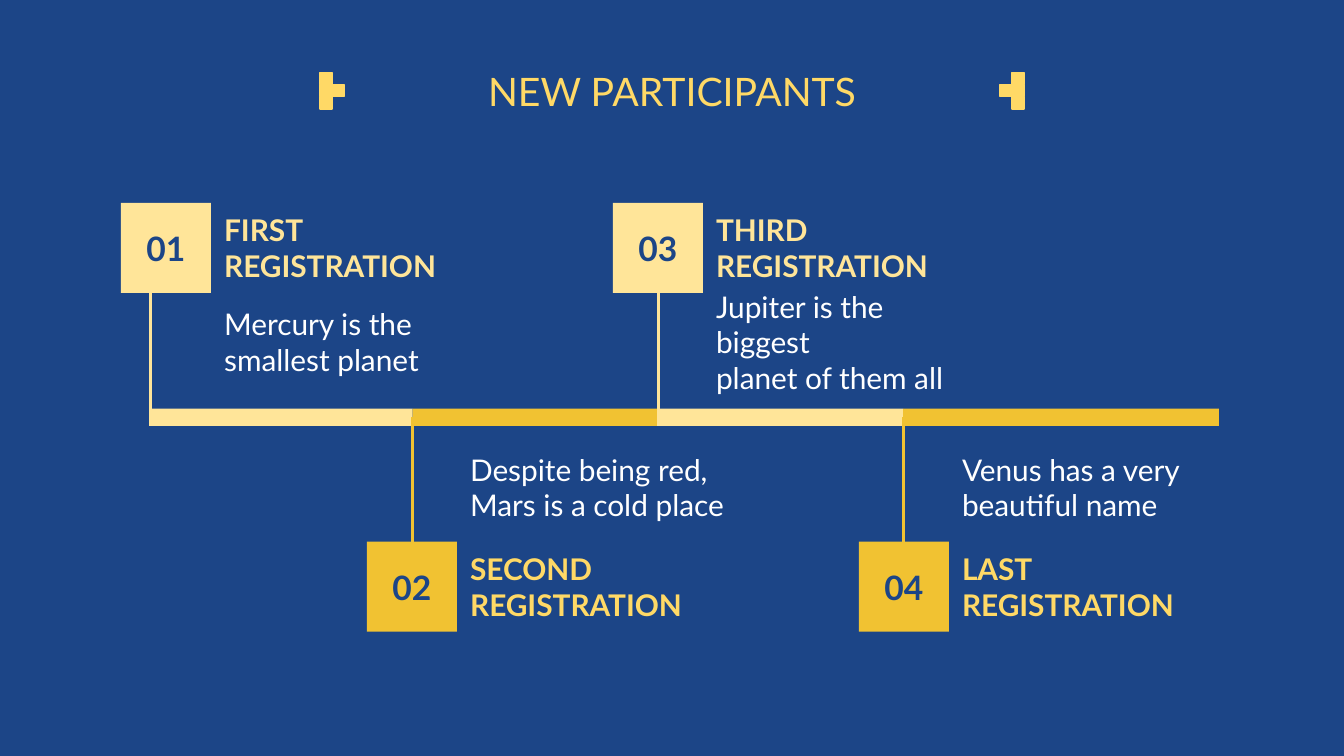
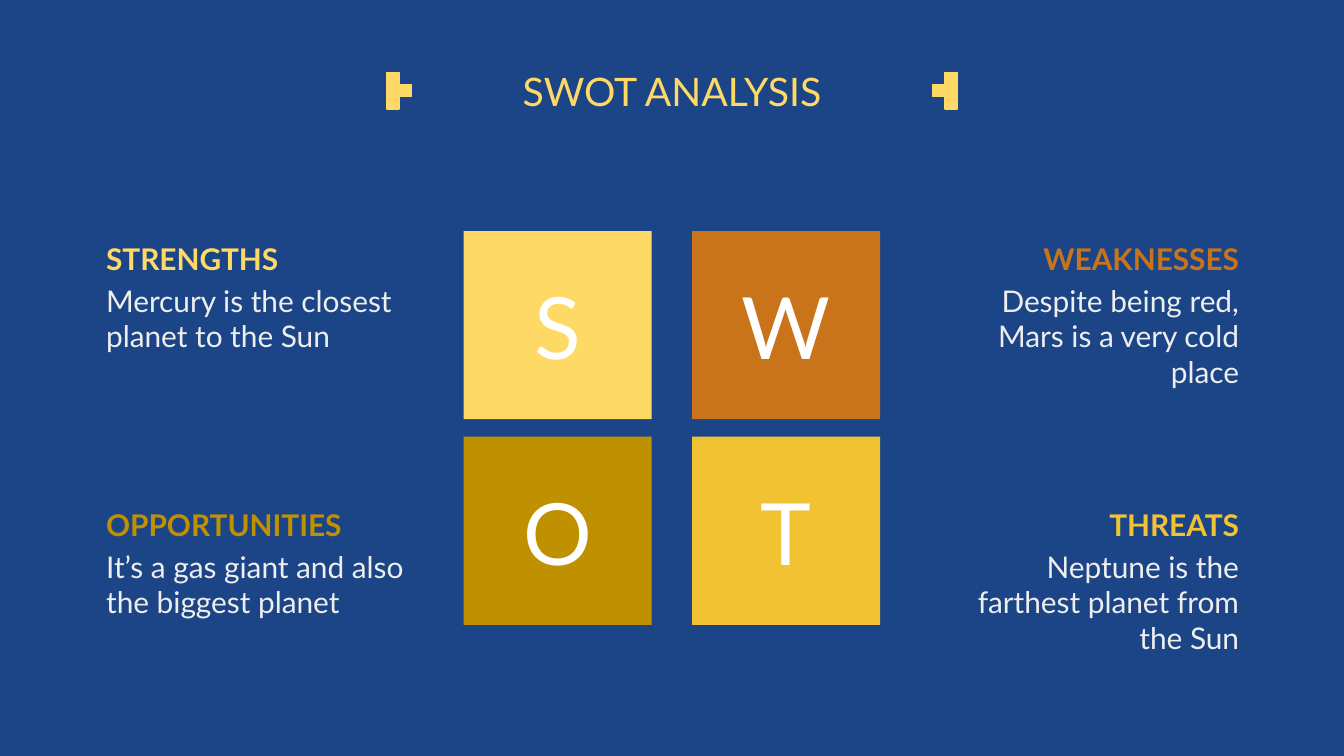
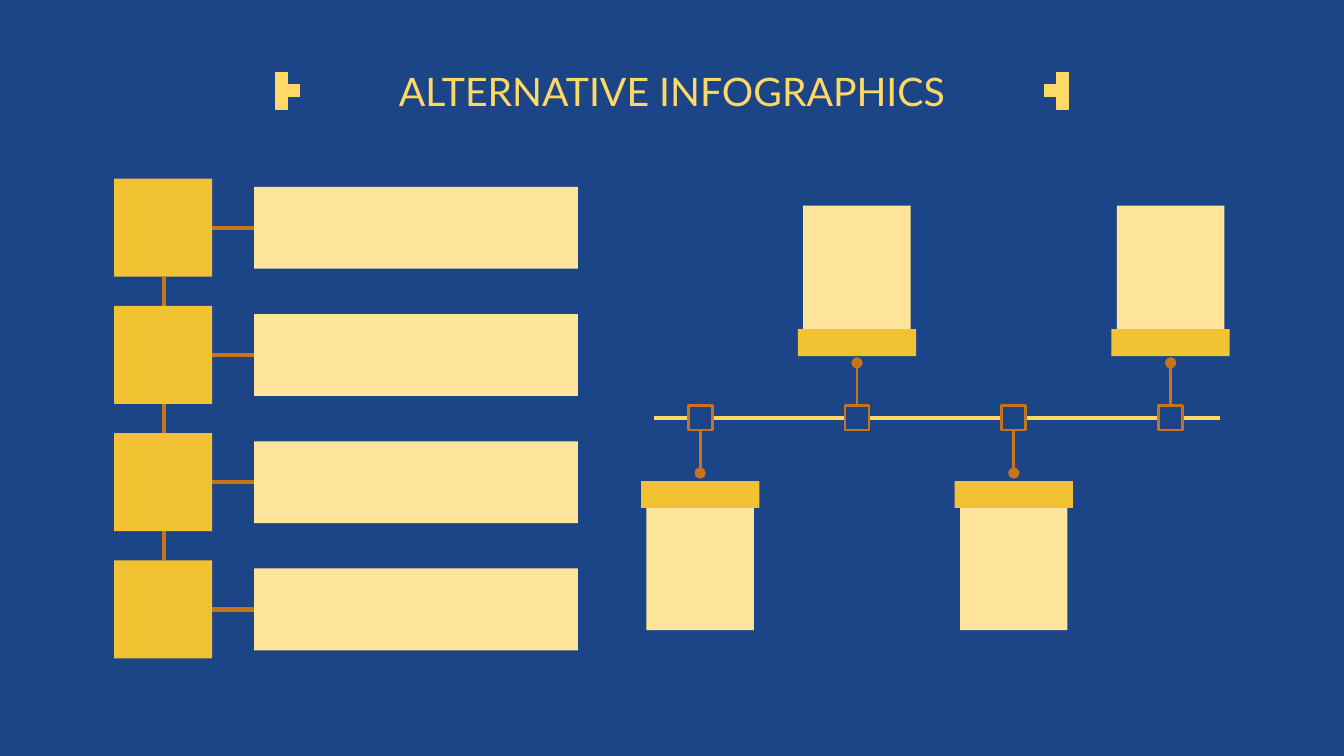
from lxml import etree
from pptx import Presentation
from pptx import util as u
from pptx.dml.color import RGBColor
from pptx.enum import shapes, text
from pptx.oxml.ns import qn

HEX = {
    "blue": "1C4587", "cream": "FFE599", "lemon": "FFD966", "gold": "F1C232",
    "olive": "BF9000", "rust": "C9741B", "white": "FFFFFF", "pale": "EEEEEE",
}
ALIGN = {
    "left": text.PP_ALIGN.LEFT,
    "mid": text.PP_ALIGN.CENTER,
    "right": text.PP_ALIGN.RIGHT,
}
ANCHOR = {
    "top": text.MSO_ANCHOR.TOP,
    "mid": text.MSO_ANCHOR.MIDDLE,
    "base": text.MSO_ANCHOR.BOTTOM,
}
WIDTH = 10


def tint(name):
    return RGBColor.from_string(HEX[name])


def put(target, values):
    for key, value in values.items():
        setattr(target, key, value)


class Deck:
    font = "Lato"

    def __init__(self):
        self.prs = Presentation()
        wide = u.Inches(WIDTH)
        put(self.prs, {"slide_width": wide, "slide_height": wide * 9 // 16})
        self.slide = None

    def page(self, title, edge):
        """Start a slide whose title stands between two marks, edge in from each side."""
        self.slide = self.prs.slides.add_slide(self.prs.slide_layouts[6])
        fill = self.slide.background.fill
        fill.solid()
        fill.fore_color.rgb = tint("blue")
        self.label((0.34, 0.32, 9.32, 0.63), title, 21, "lemon", align="mid", anchor="base")
        self.marks(edge)

    def marks(self, edge):
        """Draw a T of four small squares on each side, the right one mirrored."""
        side = 0.09
        for col, row in ((0, 0), (0, 1), (0, 2), (1, 1)):
            left, top = edge + col * side, 0.54 + row * side
            for x in (left, WIDTH - left - side):
                self.box((x, top, side, side), "lemon", "lemon", 0.75)

    def box(self, area, fill, line=None, weight=1.5):
        shape = self.slide.shapes.add_shape(shapes.MSO_SHAPE.RECTANGLE, *map(u.Inches, area))
        shape.shadow.inherit = False
        shape.fill.solid()
        shape.fill.fore_color.rgb = tint(fill)
        if line:
            shape.line.color.rgb = tint(line)
            shape.line.width = u.Pt(weight)
        else:
            shape.line.fill.background()
        return shape

    def tile(self, area, fill, words, size, color, bold=False):
        self.letter(self.box(area, fill), words, size, color, bold, "mid", "mid")

    def label(self, area, words, size, color, **style):
        shape = self.slide.shapes.add_textbox(*map(u.Inches, area))
        self.letter(shape, words, size, color, **style)

    def letter(self, shape, words, size, color, bold=False, align="left",
               anchor="top", side=0.1, after=0):
        """Set the words of a shape and their style."""
        frame = shape.text_frame
        pad, side = u.Inches(0.1), u.Inches(side)
        put(frame, {
            "word_wrap": True, "vertical_anchor": ANCHOR[anchor],
            "margin_left": side, "margin_right": side,
            "margin_top": pad, "margin_bottom": pad,
        })
        frame.text = words
        for par in frame.paragraphs:
            put(par, {"alignment": ALIGN[align], "space_after": u.Pt(after)})
            for run in par.runs:
                put(run.font, {"name": self.font, "size": u.Pt(size), "bold": bold})
                run.font.color.rgb = tint(color)

    def line(self, start, end, color, weight=1.5, tail=None):
        link = self.slide.shapes.add_connector(
            shapes.MSO_CONNECTOR.STRAIGHT, *map(u.Inches, (*start, *end)))
        link.line.color.rgb = tint(color)
        link.line.width = u.Pt(weight)
        props = link._element.spPr
        if tail:
            etree.SubElement(props.find(qn("a:ln")), qn("a:tailEnd"), type=tail)
        etree.SubElement(props, qn("a:effectLst"))


def joiners(deck):
    deck.page("NEW PARTICIPANTS", 2.38)
    stops = (1.12, 3.07, 4.9, 6.72, 9.07)
    steps = (
        ("FIRST", "Mercury is the smallest planet"),
        ("SECOND", "Despite being red,\nMars is a cold place"),
        ("THIRD", "Jupiter is the biggest\nplanet of them all"),
        ("LAST", "Venus has a very beautiful name"),
    )
    side = 0.67
    for i, (rank, note) in enumerate(steps):
        stop, left = stops[i], 0.9 + 1.83 * i
        if i % 2 == 0:
            fill, head, top, near, far, body = "cream", "cream", 1.51, 2.18, 3.17, 2.31
        else:
            fill, head, top, near, far, body = "gold", "lemon", 4.03, 4.06, 3.1, 3.39
        deck.box((stop, 3.04, stops[i + 1] - stop, 0.13), fill)
        deck.line((stop, near), (stop, far), fill)
        deck.tile((left, top, side, side), fill, f"{i + 1:02}", 18, "blue", bold=True)
        deck.label((left + side, top, 2.2, side), f"{rank} REGISTRATION", 16, head,
                   bold=True, anchor="mid")
        deck.label((left + side, body, 2.16, 0.47), note, 16, "white", anchor="mid")


def swot(deck):
    deck.page("SWOT ANALYSIS", 2.88)
    parts = (
        ("STRENGTHS", "lemon", "Mercury is the closest planet to the Sun"),
        ("WEAKNESSES", "rust", "Despite being red, Mars is a very cold place"),
        ("OPPORTUNITIES", "olive", "It’s a gas giant and also the biggest planet"),
        ("THREATS", "gold", "Neptune is the farthest planet from the Sun"),
    )
    for i, (name, color, note) in enumerate(parts):
        row, col = divmod(i, 2)
        deck.tile((3.45 + 1.7 * col, 1.72 + 1.53 * row, 1.4, 1.4), color, name[0], 46, "white")
        left, top = 0.79 + 6.2 * col, 1.69 + 1.98 * row
        style = {"align": ("left", "right")[col], "side": 0, "after": 16}
        deck.label((left, top, 2.23, 0.44), name, 16, color, bold=True, **style)
        deck.label((left, top + 0.31, 2.23, 0.88), note, 16, "pale", **style)


def extras(deck):
    deck.page("ALTERNATIVE INFOGRAPHICS", 2.05)
    ladder(deck)
    axis(deck)


def ladder(deck):
    """Draw four squares on a spine, each tied to a bar."""
    deck.line((1.22, 2.06), (1.22, 4.17), "rust", 2.25)
    for i in range(4):
        top = 1.33 + 2.84 * i / 3
        mid = top + 0.73 / 2
        deck.box((0.85, top, 0.73, 0.73), "gold")
        deck.box((1.89, top + 0.06, 2.41, 0.61), "cream")
        deck.line((1.58, mid), (1.89, mid), "rust", 2.25)


def axis(deck):
    """Draw a line with four stops and cards below and above in turn."""
    deck.line((4.87, 3.11), (9.08, 3.11), "lemon", 2.25)
    for i in range(4):
        mid = 5.21 + 3.5 * i / 3
        if i % 2 == 0:
            card, cap, near, far = 3.65, 3.58, 3.2, 3.52
        else:
            card, cap, near, far = 1.53, 2.45, 3.02, 2.7
        deck.box((mid - 0.4, card, 0.8, 1.04), "cream")
        deck.box((mid - 0.44, cap, 0.88, 0.2), "gold")
        deck.box((mid - 0.09, 3.02, 0.18, 0.18), "blue", "rust")
        deck.line((mid, near), (mid, far), "rust", tail="oval")


def main():
    deck = Deck()
    for build in (joiners, swot, extras):
        build(deck)
    deck.prs.save("out.pptx")


if __name__ == "__main__":
    main()
